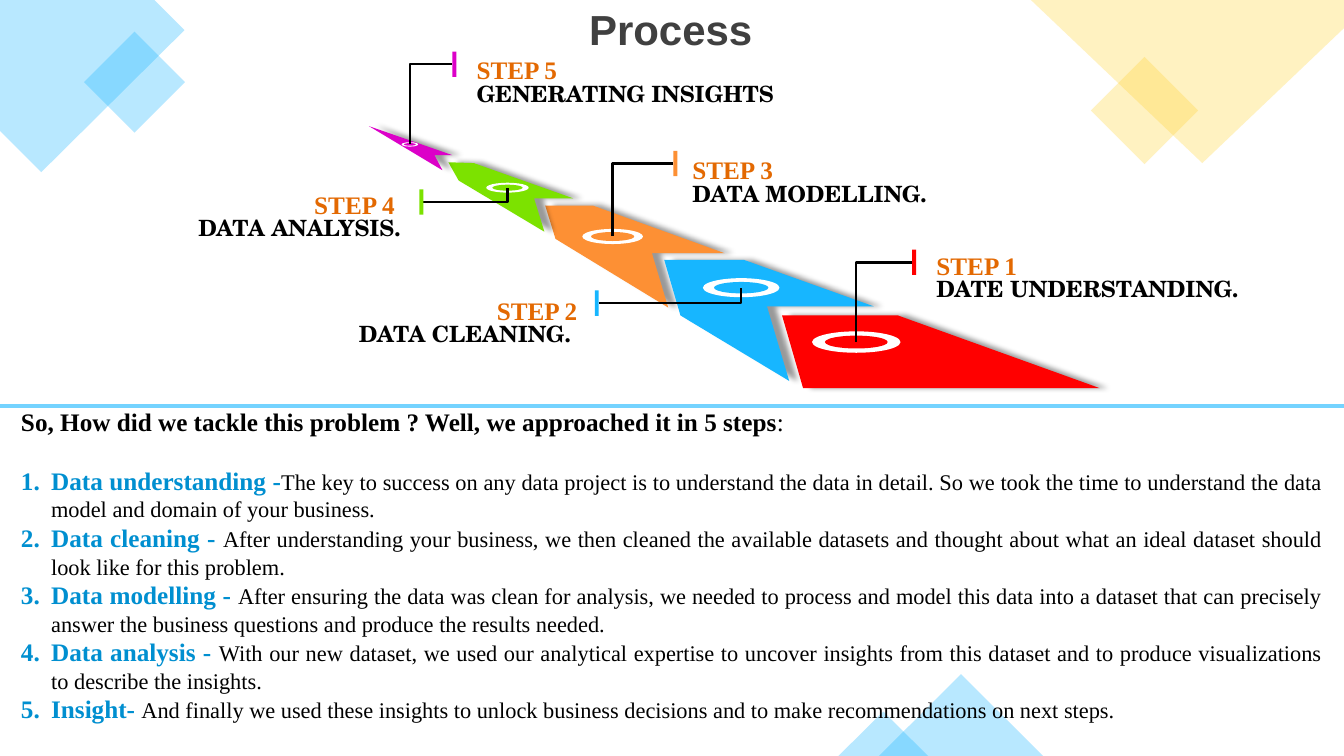
from lxml import etree
from pptx import Presentation
from pptx.dml.color import RGBColor
from pptx.enum.shapes import MSO_CONNECTOR as Link, MSO_SHAPE as Kind
from pptx.enum.text import MSO_ANCHOR as Anchor, PP_ALIGN as Align
from pptx.oxml.ns import qn
from pptx.util import Cm, Pt

BLACK = RGBColor(0x00, 0x00, 0x00)
WHITE = RGBColor(0xFF, 0xFF, 0xFF)
GREY = RGBColor(0x40, 0x40, 0x40)
RED = RGBColor(0xFF, 0x00, 0x00)
BLUE = RGBColor(0x17, 0xB6, 0xFF)
AMBER = RGBColor(0xFD, 0x90, 0x34)
GREEN = RGBColor(0x7C, 0xE2, 0x00)
PINK = RGBColor(0xDC, 0x00, 0xC8)
GOLD = RGBColor(0xFF, 0xD4, 0x34)
RUST = RGBColor(0xE3, 0x69, 0x02)
NAVY = RGBColor(0x00, 0x8F, 0xD0)
SKY = RGBColor(0x74, 0xD3, 0xFF)
SERIF = "Times New Roman"

deck = Presentation()
deck.slide_width, deck.slide_height = Cm(33.87), Cm(19.05)
slide = deck.slides.add_slide(deck.slide_layouts[5])
shapes = slide.shapes


def paint(shape, color, alpha=None):
    """Fill a shape flat, without line or shadow."""
    shape.shadow.inherit = False
    shape.fill.solid()
    shape.fill.fore_color.rgb = color
    shape.line.fill.background()
    if alpha:
        tone = shape.fill._xPr.find(".//" + qn("a:srgbClr"))
        etree.SubElement(tone, qn("a:alpha"), val=str(alpha * 1000))


def outline(points):
    """Draw a closed polygon through points in centimetres."""
    spots = [(Cm(x), Cm(y)) for x, y in points]
    pen = shapes.build_freeform(*spots[0], scale=1.0)
    pen.add_line_segments(spots[1:], close=True)
    return pen.convert_to_shape()


# Corner decoration
for color, points in [
    (BLUE, [(3.89, 0), (0, 0), (0, 3.3), (1.04, 4.34), (4.65, 0.76)]),
    (GOLD, [(33.87, 0), (25.98, 0), (30.3, 4.11), (33.87, 0.71)]),
]:
    paint(outline(points), color, 30)

for kind, color, x, y, w, h, turn in [
    (Kind.RECTANGLE, BLUE, 2.49, 1.17, 1.8, 1.8, 315),
    (Kind.RECTANGLE, GOLD, 27.89, 1.83, 1.91, 1.91, 315),
    (Kind.ISOSCELES_TRIANGLE, BLUE, 22.15, 16.99, 4.14, 2.06, 0),
    (Kind.ISOSCELES_TRIANGLE, BLUE, 21.13, 17.93, 2.26, 1.12, 0),
]:
    shape = shapes.add_shape(kind, Cm(x), Cm(y), Cm(w), Cm(h))
    shape.rotation = turn
    paint(shape, color, 30)

# Arrow bands with soft shadows
for color, points in [
    (RED, [(19.71, 7.95), (22.63, 7.95), (27.71, 9.78), (20.24, 9.78)]),
    (AMBER, [(16.43, 6.38), (18.26, 6.38), (14.94, 5.18), (13.74, 5.18),
             (14, 6.02), (16.84, 7.75)]),
    (GREEN, [(13.46, 5), (14.45, 5), (11.94, 4.11), (11.3, 4.09),
             (11.56, 4.55), (13.72, 5.84)]),
    (PINK, [(10.95, 3.91), (11.4, 3.91), (9.3, 3.18), (11.15, 4.29)]),
    (BLUE, [(19.33, 7.72), (22.02, 7.72), (18.75, 6.55), (16.74, 6.55),
            (17.15, 7.95), (19.89, 9.6)]),
]:
    band = outline(points)
    paint(band, color)
    glow = etree.SubElement(
        band._element.spPr.find(qn("a:effectLst")), qn("a:outerShdw"),
        blurRad=str(Pt(4)), dist=str(Pt(6)), dir="0", algn="l", rotWithShape="0")
    tone = etree.SubElement(glow, qn("a:srgbClr"), val="000000")
    etree.SubElement(tone, qn("a:alpha"), val="40000")

# Rings: centre and size; ticks: left and middle height
for color, x, y, w, h, left, mid in [
    (RED, 21.58, 8.62, 2.23, 0.54, 22.99, 6.61),
    (BLUE, 18.68, 7.25, 1.93, 0.48, 14.99, 7.64),
    (AMBER, 15.44, 5.96, 1.53, 0.38, 16.97, 4.12),
    (GREEN, 12.79, 4.73, 1.07, 0.25, 10.57, 5.09),
    (PINK, 10.33, 3.64, 0.42, 0.11, 11.4, 1.62),
]:
    for tint, a, b in [(WHITE, w, h), (color, w * 0.71, h * 0.6)]:
        ring = shapes.add_shape(
            Kind.OVAL, Cm(x - a / 2), Cm(y - b / 2), Cm(a), Cm(b))
        paint(ring, tint)
    side = left if left > x else left + 0.1
    bend = shapes.add_connector(Link.ELBOW, Cm(side), Cm(mid), Cm(x), Cm(y))
    bend.line.color.rgb = BLACK
    bend.line.width = Pt(1.75)
    props = bend._element.spPr
    props.find(qn("a:prstGeom")).set("prst", "bentConnector2")
    etree.SubElement(props, qn("a:effectLst"))
    tick = shapes.add_shape(
        Kind.RECTANGLE, Cm(left), Cm(mid - 0.32), Cm(0.1), Cm(0.64))
    paint(tick, color)

# Step labels and captions
for step, x, w, text, start, y, side in [
    ("STEP 4", 7.92, 2.46, "DATA ANALYSIS. ", 1.83, 4.76, Align.RIGHT),
    ("STEP 2", 6.12, 8.43, "DATA CLEANING. ", 6.12, 7.44, Align.RIGHT),
    ("STEP 5", 12.01, 8.43, "GENERATING INSIGHTS", 12.01, 1.37, Align.LEFT),
    ("STEP 3", 17.45, 8.43, "DATA MODELLING.", 17.45, 3.9, Align.LEFT),
    ("STEP 1", 23.6, 8.43, "DATE UNDERSTANDING.", 23.6, 6.3, Align.LEFT),
]:
    for words, a, b, wide, high, size, face, color, align in [
        (text, start, y + 0.64, 8.43, 0.56, 16, "TeX Gyre Schola", BLACK, side),
        (step, x, y, w, 0.66, 18, SERIF, RUST,
         Align.LEFT if w < 8 else side),
    ]:
        frame = shapes.add_textbox(Cm(a), Cm(b), Cm(wide), Cm(high)).text_frame
        frame.word_wrap = True
        frame.margin_left = frame.margin_right = 0
        frame.margin_top = frame.margin_bottom = 0
        para = frame.paragraphs[0]
        para.text = words
        para.alignment = align
        font = para.font
        font.name, font.size, font.bold = face, Pt(size), True
        font.color.rgb = color

# Title
title = shapes.title
title.left, title.top = Cm(-0.03), Cm(-0.05)
title.width, title.height = Cm(33.87), Cm(1.55)
title.text_frame.vertical_anchor = Anchor.MIDDLE
para = title.text_frame.paragraphs[0]
para.text = "Process"
para.alignment = Align.CENTER
font = para.font
font.name, font.size, font.bold = "Arial", Pt(30), True
font.color.rgb = GREY

# Explanation
frame = shapes.add_textbox(Cm(0.28), Cm(10.11), Cm(33.3), Cm(8.38)).text_frame
frame.word_wrap = True
for n, (lead, text) in enumerate([
    ("So, How did we tackle this problem ? Well, we approached it in 5 steps", ": "),
    ("Data understanding -", "The key to success on any data project is to understand the data in detail. So we took the time to understand the data model and domain of your business. "),
    ("Data cleaning - ", "After understanding your business, we then cleaned the available datasets and thought about what an ideal dataset should look like for this problem. "),
    ("Data modelling - ", "After ensuring the data was clean for analysis, we needed to process and model this data into a dataset that can precisely answer the business questions and produce the results needed. "),
    ("Data analysis - ", "With our new dataset, we used our analytical expertise to uncover insights from this dataset and to produce visualizations to describe the insights. "),
    ("Insight- ", "And finally we used these insights to unlock business decisions and to make recommendations on next steps."),
]):
    para = frame.add_paragraph() if n else frame.paragraphs[0]
    para.alignment = Align.JUSTIFY
    if n:
        props = para._p.get_or_add_pPr()
        props.set("marL", str(Cm(0.76)))
        props.set("indent", str(-Cm(0.76)))
        etree.SubElement(props, qn("a:buFont"), typeface="+mj-lt")
        etree.SubElement(props, qn("a:buAutoNum"), type="arabicPeriod")
    if n == 1:
        para.space_before = Pt(20.7)
    para.font.name = SERIF
    for words, bold, size, color in [
        (lead, True, 18, NAVY if n else BLACK),
        (text, False, 16 if n else 18, BLACK),
    ]:
        run = para.add_run()
        run.text = words
        font = run.font
        font.size, font.bold = Pt(size), bold
        font.color.rgb = color

# Divider
rule = shapes.add_connector(Link.STRAIGHT, 0, Cm(10.24), deck.slide_width, Cm(10.24))
rule.line.color.rgb = SKY
rule.line.width = Pt(2.75)
etree.SubElement(rule._element.spPr, qn("a:effectLst"))

deck.save("out.pptx")
